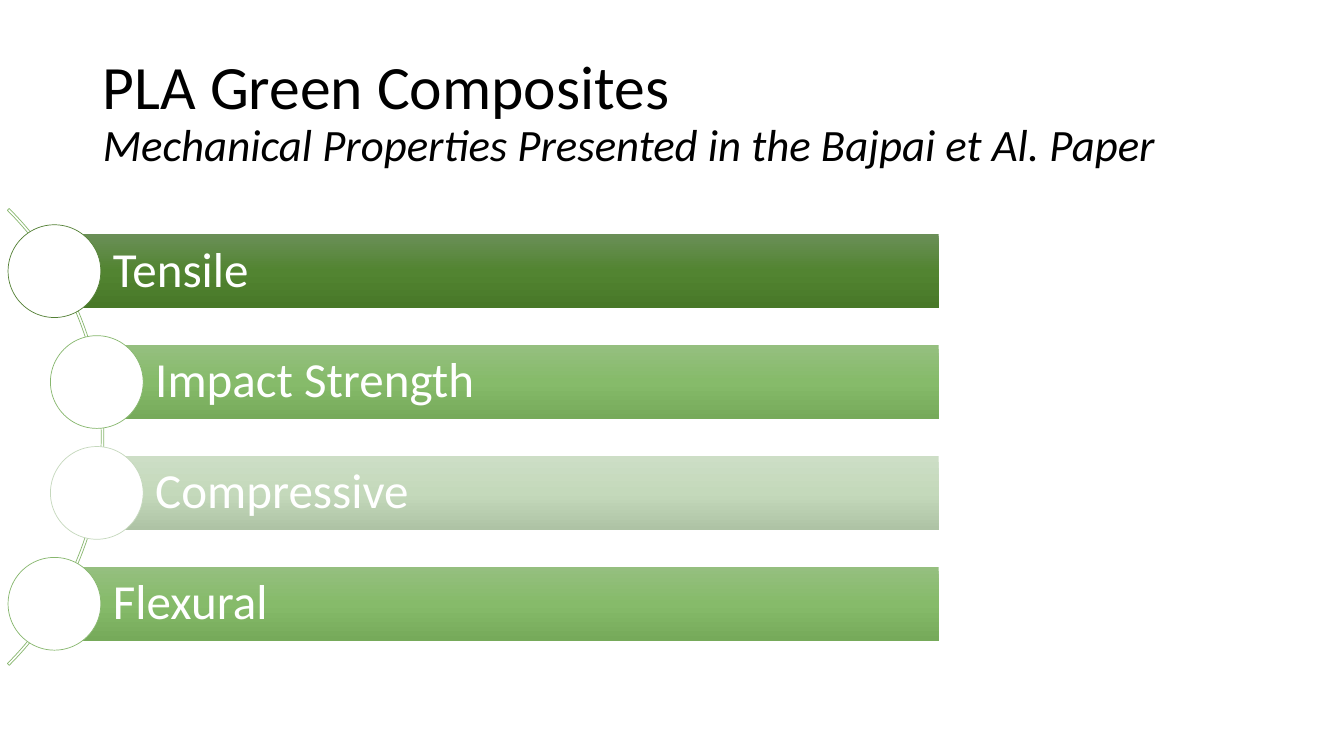
import copy
import pptx
import pptx.dml.color
import pptx.enum.shapes
import pptx.enum.text
import pptx.oxml.ns
import pptx.util
from pptx.util import Inches

TITLE = "PLA Green Composites"
SUBTITLE = "Mechanical Properties Presented in the Bajpai et Al. Paper"

THEME = {
    "font": "Calibri",
    "title_size": 44, "subtitle_size": 32, "property_size": 35,
    "ink": "000000", "paper": "FFFFFF", "arc": "88B76F",
    "dark": {"bar": ("6A8F57", "528431", "487828"), "ring": "538035"},
    "mid": {"bar": ("95BF7F", "86BB6A", "76AA5A"), "ring": "87B76E"},
    "pale": {"bar": ("CDDEC6", "C4D9BB", "AEC3A5"), "ring": "C5D8BD"},
}

# Name, shade, left edge of the circle in inches
PROPERTIES = [
    ("Tensile", "dark", 0.08),
    ("Impact Strength", "mid", 0.5),
    ("Compressive", "pale", 0.5),
    ("Flexural", "mid", 0.08),
]

FIRST_CENTER, PITCH = 2.69, 1.1
CIRCLE, BAR_HEIGHT, BAR_RIGHT = 0.92, 0.73, 9.31
ARC_LEFT, ARC_TOP, ARC_SIZE = -5.38, 1.13, 6.41


def rgb(color):
    return pptx.dml.color.RGBColor.from_string(color)


def add_text(paragraph, text, size, color, italic=False):
    paragraph.alignment = pptx.enum.text.PP_ALIGN.LEFT
    paragraph.line_spacing = 0.9
    run = paragraph.add_run()
    run.text = text
    run.font.name = THEME["font"]
    run.font.size = pptx.util.Pt(size)
    run.font.italic = italic
    run.font.color.rgb = rgb(color)


def add_shape(slide, kind, left, top, width, height, line=None):
    shape = slide.shapes.add_shape(
        kind, Inches(left), Inches(top), Inches(width), Inches(height))
    shape.shadow.inherit = False
    if line:
        shape.line.color.rgb = rgb(line)
        shape.line.width = pptx.util.Pt(0.5)
    else:
        shape.line.fill.background()
    return shape


def fill_gradient(shape, colors):
    """Fill from top to bottom with three evenly spaced colours."""
    shape.fill.gradient()
    shape.fill.gradient_angle = 270
    stop_list = shape.element.find(".//" + pptx.oxml.ns.qn("a:gsLst"))
    stop_list.append(copy.deepcopy(stop_list[-1]))
    for stop, color, position in zip(shape.fill.gradient_stops, colors, (0, 0.5, 1)):
        stop.color.rgb = rgb(color)
        stop.position = position


def add_title(slide):
    title = slide.shapes.title
    title.left, title.top = Inches(0.92), Inches(0.4)
    title.width, title.height = Inches(11.5), Inches(1.45)
    title.text_frame.vertical_anchor = pptx.enum.text.MSO_ANCHOR.MIDDLE
    paragraph = title.text_frame.paragraphs[0]
    add_text(paragraph, TITLE, THEME["title_size"], THEME["ink"])
    paragraph.add_line_break()
    add_text(paragraph, SUBTITLE, THEME["subtitle_size"], THEME["ink"], italic=True)


def add_arc(slide):
    arc = add_shape(slide, pptx.enum.shapes.MSO_SHAPE.BLOCK_ARC,
                    ARC_LEFT, ARC_TOP, ARC_SIZE, ARC_SIZE, THEME["arc"])
    arc.fill.background()
    # Angles are in 100000ths of 1/60000 degree: 315 and 45 degrees
    for index, value in enumerate((189, 27, 0.004)):
        arc.adjustments[index] = value


def add_property(slide, name, shade, circle_left, center):
    bar_left = circle_left + CIRCLE / 2
    bar = add_shape(slide, pptx.enum.shapes.MSO_SHAPE.RECTANGLE, bar_left,
                    center - BAR_HEIGHT / 2, BAR_RIGHT - bar_left, BAR_HEIGHT)
    fill_gradient(bar, THEME[shade]["bar"])
    frame = bar.text_frame
    frame.word_wrap = True
    frame.vertical_anchor = pptx.enum.text.MSO_ANCHOR.MIDDLE
    frame.margin_left = Inches(0.58)
    frame.margin_top = frame.margin_right = frame.margin_bottom = Inches(0.1)
    add_text(frame.paragraphs[0], name, THEME["property_size"], THEME["paper"])

    circle = add_shape(slide, pptx.enum.shapes.MSO_SHAPE.OVAL, circle_left,
                       center - CIRCLE / 2, CIRCLE, CIRCLE, THEME[shade]["ring"])
    circle.fill.solid()
    circle.fill.fore_color.rgb = rgb(THEME["paper"])


def main():
    deck = pptx.Presentation()
    deck.slide_width, deck.slide_height = Inches(13.33), Inches(7.5)
    slide = deck.slides.add_slide(deck.slide_layouts.get_by_name("Title Only"))
    add_title(slide)
    add_arc(slide)
    for row, (name, shade, circle_left) in enumerate(PROPERTIES):
        add_property(slide, name, shade, circle_left, FIRST_CENTER + row * PITCH)
    deck.save("out.pptx")


if __name__ == "__main__":
    main()
